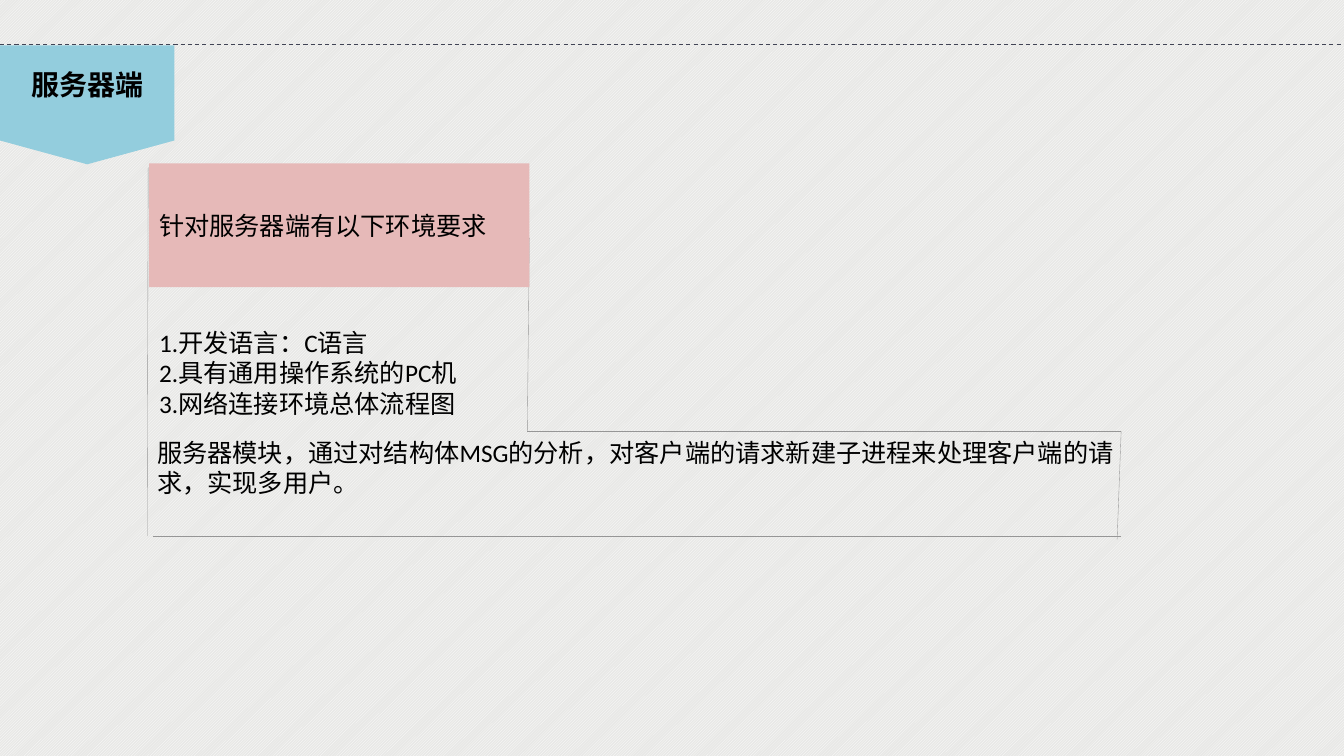
from dataclasses import dataclass
from typing import Any

from pptx import Presentation
from pptx.dml.color import RGBColor
from pptx.enum.dml import MSO_LINE, MSO_PATTERN
from pptx.enum.shapes import MSO_CONNECTOR, MSO_SHAPE
from pptx.enum.text import MSO_ANCHOR, MSO_AUTO_SIZE, PP_ALIGN
from pptx.oxml.ns import qn
from pptx.util import Emu, Pt

STRAIGHT = MSO_CONNECTOR.STRAIGHT
DASH = MSO_LINE.DASH
DIAGONAL = MSO_PATTERN.LIGHT_UPWARD_DIAGONAL
OFFPAGE = MSO_SHAPE.FLOWCHART_OFFPAGE_CONNECTOR
HOME_PLATE = MSO_SHAPE.PENTAGON
TOP, MIDDLE = MSO_ANCHOR.TOP, MSO_ANCHOR.MIDDLE
LEFT, CENTER = PP_ALIGN.LEFT, PP_ALIGN.CENTER
GROW, FIXED = MSO_AUTO_SIZE.SHAPE_TO_FIT_TEXT, MSO_AUTO_SIZE.NONE

EMU_PER_PX = 9144
SLIDE_WIDTH, SLIDE_HEIGHT = 1333, 750
FONT_NAME = "Calibri"
TEXT_COLOR = "000000"
RULE_COLOR = "414455"
FRAME_COLOR = "969696"
RIBBON_COLOR = "93CDDD"
HEADING_COLOR = "E6B9B8"
STRIPE_COLOR = "FFFFFF"
PAPER_COLOR = "E8E8E6"


@dataclass(frozen=True)
class Box:
    left: int
    top: int
    width: int
    height: int


@dataclass(frozen=True)
class Line:
    start: tuple[int, int]
    end: tuple[int, int]
    color: str = FRAME_COLOR
    width: float = 0.25
    dash: Any = None


@dataclass(frozen=True)
class Label:
    box: Box
    paragraphs: tuple[str, ...]
    size: int = 18
    bold: bool = False
    align: Any = LEFT
    anchor: Any = MIDDLE
    wrap: bool = True
    auto_size: Any = GROW


RIBBON_BOX = Box(0, 45, 173, 118)
HEADING_BOX = Box(148, 162, 377, 123)

TOP_RULE = Line((0, 44), (SLIDE_WIDTH, 44), RULE_COLOR, 0.75, DASH)
FRAME_LINES = (
    Line((147, 166), (146, 532)),
    Line((152, 532), (1112, 532)),
    Line((1112, 428), (1108, 535)),
    Line((523, 428), (1112, 428)),
    Line((525, 236), (523, 428)),
)

TITLE = Label(Box(20, 62, 133, 44), ("服务器端",), size=20, bold=True,
              align=CENTER, anchor=TOP, wrap=False)
REQUIREMENTS = Label(
    Box(148, 320, 400, 162),
    ("1.开发语言：C语言", "2.具有通用操作系统的PC机", "3.网络连接环境总体流程图"),
    anchor=TOP, auto_size=FIXED)
HEADING = Label(HEADING_BOX, ("针对服务器端有以下环境要求",),
                wrap=False, auto_size=FIXED)
SUMMARY = Label(
    Box(146, 428, 993, 71),
    ("服务器模块，通过对结构体MSG的分析，对客户端的请求新建子进程来处理客户端的请求，实现多用户。",))


def px(length: int) -> Emu:
    return Emu(length * EMU_PER_PX)


def rgb(color: str) -> RGBColor:
    return RGBColor.from_string(color)


def place(box: Box) -> tuple[Emu, Emu, Emu, Emu]:
    return px(box.left), px(box.top), px(box.width), px(box.height)


def apply_format(target: Any, values: dict[str, Any]) -> None:
    for name, value in values.items():
        setattr(target, name, value)


def paint_background(slide: Any) -> None:
    fill = slide.background.fill
    fill.patterned()
    fill.pattern = DIAGONAL
    fill.fore_color.rgb = rgb(STRIPE_COLOR)
    fill.back_color.rgb = rgb(PAPER_COLOR)


def add_line(slide: Any, line: Line) -> None:
    connector = slide.shapes.add_connector(
        STRAIGHT, *map(px, line.start), *map(px, line.end))
    connector.line.color.rgb = rgb(line.color)
    apply_format(connector.line, {"width": Pt(line.width), "dash_style": line.dash})
    properties = connector.line._get_or_add_ln().getparent()
    properties.append(properties.makeelement(qn("a:effectLst"), {}))


def add_block(slide: Any, kind: Any, box: Box, color: str) -> Any:
    shape = slide.shapes.add_shape(kind, *place(box))
    shape.shadow.inherit = False
    shape.fill.solid()
    shape.fill.fore_color.rgb = rgb(color)
    shape.line.fill.background()
    return shape


def write_text(shape: Any, label: Label) -> None:
    frame = shape.text_frame
    apply_format(frame, {
        "text": "\n".join(label.paragraphs),
        "word_wrap": label.wrap,
        "auto_size": label.auto_size,
        "vertical_anchor": label.anchor,
    })
    for paragraph in frame.paragraphs:
        paragraph.alignment = label.align
        font = paragraph.runs[0].font
        apply_format(font, {"name": FONT_NAME, "size": Pt(label.size), "bold": label.bold})
        font.color.rgb = rgb(TEXT_COLOR)


def add_label(slide: Any, label: Label) -> None:
    write_text(slide.shapes.add_textbox(*place(label.box)), label)


def main() -> None:
    presentation = Presentation()
    presentation.slide_width = px(SLIDE_WIDTH)
    presentation.slide_height = px(SLIDE_HEIGHT)
    slide = presentation.slides.add_slide(presentation.slide_layouts[6])
    paint_background(slide)

    add_line(slide, TOP_RULE)
    add_block(slide, OFFPAGE, RIBBON_BOX, RIBBON_COLOR)
    add_label(slide, TITLE)
    add_label(slide, REQUIREMENTS)
    for line in FRAME_LINES:
        add_line(slide, line)
    heading = add_block(slide, HOME_PLATE, HEADING.box, HEADING_COLOR)
    heading.adjustments[0] = 0
    write_text(heading, HEADING)
    add_label(slide, SUMMARY)

    presentation.save("out.pptx")


if __name__ == "__main__":
    main()
